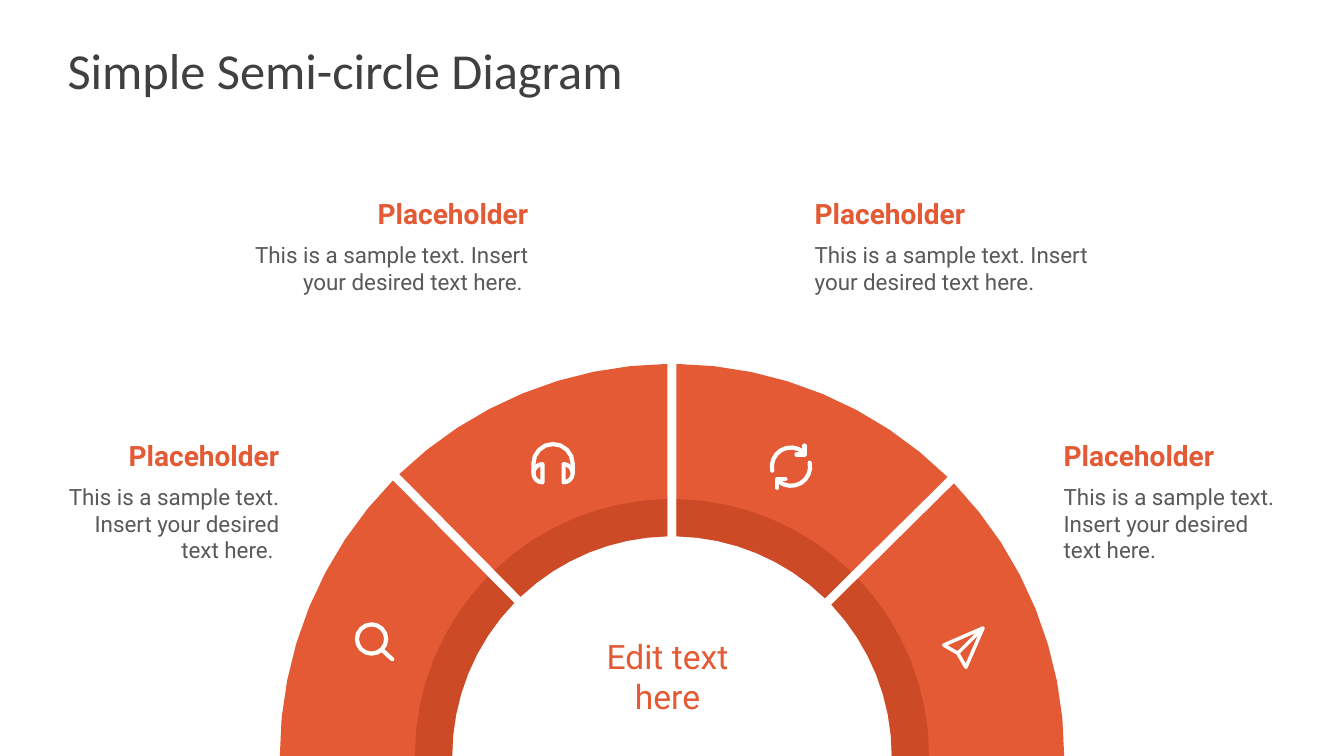
"""Build a slide with a four-part semi-circle diagram and its labels."""
from dataclasses import dataclass
from itertools import pairwise
from math import asin, cos, degrees, radians, sin

from lxml.etree import SubElement
from pptx import Presentation
from pptx.dml.color import RGBColor
from pptx.enum.text import MSO_ANCHOR as Anchor, MSO_AUTO_SIZE as AutoSize, PP_ALIGN as Align
from pptx.oxml.ns import qn
from pptx.util import Inches, Pt


@dataclass(frozen=True)
class Theme:
    orange: RGBColor = RGBColor.from_string("E35A35")
    shade: RGBColor = RGBColor.from_string("B83B1A")
    white: RGBColor = RGBColor.from_string("FFFFFF")
    title_grey: RGBColor = RGBColor.from_string("404040")
    body_grey: RGBColor = RGBColor.from_string("595959")
    title_font: str = "Calibri"
    body_font: str = "Roboto"
    title_size: int = 36
    centre_size: int = 24
    heading_size: int = 20
    body_size: int = 16


theme = Theme()
deck = Presentation()
deck.slide_width, deck.slide_height = Inches(13.33), Inches(7.5)
slide = deck.slides.add_slide(deck.slide_layouts[6])


def arc(x, y, radius, start, end, steps=8):
    """Return points along an arc, with angles in degrees counter-clockwise from the right."""
    angles = [radians(start + (end - start) * step / steps) for step in range(steps + 1)]
    return [(x + radius * cos(angle), y - radius * sin(angle)) for angle in angles]


def draw(*contours, close=False):
    """Draw one freeform made of contours given in inches."""
    paths = [[(Inches(x), Inches(y)) for x, y in contour] for contour in contours]
    builder = slide.shapes.build_freeform(*paths[0][0])
    builder.add_line_segments(paths[0][1:], close=close)
    for path in paths[1:]:
        builder.move_to(*path[0])
        builder.add_line_segments(path[1:], close=close)
    shape = builder.convert_to_shape()
    shape.shadow.inherit = False
    return shape


centre_x, centre_y = 6.665, 7.5
inner_radius, band_radius, outer_radius = 2.18, 2.55, 3.89
half_gap = 0.045
cuts = [(0, 0), (44.7, half_gap), (90, half_gap), (134.7, half_gap), (180, 0)]

for ring_radius, colour in [(outer_radius, theme.orange), (band_radius, theme.shade)]:
    for (start, start_gap), (end, end_gap) in pairwise(cuts):
        edges = [
            arc(centre_x, centre_y, radius,
                start + degrees(asin(start_gap / radius)),
                end - degrees(asin(end_gap / radius)))
            for radius in (ring_radius, inner_radius)
        ]
        segment = draw(edges[0] + edges[1][::-1], close=True)
        segment.fill.solid()
        segment.fill.fore_color.rgb = colour
        segment.line.fill.background()
        if colour == theme.shade:
            tint = segment.element.find(".//" + qn("a:srgbClr"))
            SubElement(tint, qn("a:alpha")).set("val", "50000")

texts = [
    ("Simple Semi-circle Diagram", (0.67, 0.3, 12, 0.78), theme.title_font, theme.title_size,
     theme.title_grey, False, Align.LEFT, Anchor.MIDDLE, (0, 0), AutoSize.NONE),
    ("Edit text\vhere", (5.13, 6.25, 2.98, 0.91), theme.body_font, theme.centre_size,
     theme.orange, False, Align.CENTER, Anchor.MIDDLE, (0.1, 0.05), AutoSize.SHAPE_TO_FIT_TEXT),
]
sample = "This is a sample text. Insert your desired text here."
for left, top, width, body_height, align, ending in [
    (8.08, 1.9, 3.07, 0.64, Align.LEFT, ""),
    (2.17, 1.9, 3.07, 0.64, Align.RIGHT, " "),
    (10.55, 4.3, 2.23, 0.91, Align.LEFT, ""),
    (0.54, 4.3, 2.23, 0.91, Align.RIGHT, " "),
]:
    texts += [
        (sample + ending, (left, top + 0.44, width, body_height), theme.body_font,
         theme.body_size, theme.body_grey, False, align, Anchor.TOP, (0, 0.05),
         AutoSize.SHAPE_TO_FIT_TEXT),
        ("Placeholder", (left, top, width, 0.44), theme.body_font, theme.heading_size,
         theme.orange, True, align, Anchor.MIDDLE, (0, 0.05), AutoSize.SHAPE_TO_FIT_TEXT),
    ]

for wording, place, font, size, colour, bold, align, anchor, (side, edge), fit in texts:
    frame = slide.shapes.add_textbox(*map(Inches, place)).text_frame
    frame.text = wording
    frame.word_wrap = True
    frame.auto_size = fit
    frame.vertical_anchor = anchor
    frame.margin_left = frame.margin_right = Inches(side)
    frame.margin_top = frame.margin_bottom = Inches(edge)
    frame.paragraphs[0].alignment = align
    for run in frame.paragraphs[0].runs:
        run.font.name, run.font.size, run.font.bold = font, Pt(size), bold
        run.font.color.rgb = colour

magnifier = [arc(3.685, 6.34, 0.145, 0, 360, 16), [(3.79, 6.45), (3.89, 6.54)]]
headphones = [[(5.29, 4.69), *arc(5.485, 4.6, 0.195, 180, 0), (5.68, 4.69)]]
for cup_x, turn in [(5.38, 180), (5.59, -180)]:
    cup = arc(cup_x, 4.695, 0.09, 90, 90 + turn)
    headphones.append(cup + cup[:1])
plane = [[(9.5, 6.48), (9.36, 6.4), (9.75, 6.23), (9.58, 6.62), (9.5, 6.48), (9.75, 6.23)]]
icons = [(magnifier, 3), (headphones, 3), (plane, 2.5)]

refresh_x, refresh_y = 7.845, 4.63
for turn, side in [(0, 1), (180, -1)]:
    arrowhead = [(refresh_x + side * x, refresh_y + side * y)
                 for x, y in [(0.135, -0.21), (0.135, -0.12), (0.055, -0.12)]]
    icons.append(([arc(refresh_x, refresh_y, 0.19, 192 + turn, 50 + turn), arrowhead], 3))

for strokes, weight in icons:
    icon = draw(*strokes)
    icon.fill.background()
    icon.line.color.rgb = theme.white
    icon.line.width = Pt(weight)
    outline = icon.element.find(".//" + qn("a:ln"))
    outline.set("cap", "rnd")
    SubElement(outline, qn("a:round"))

deck.save("out.pptx")
